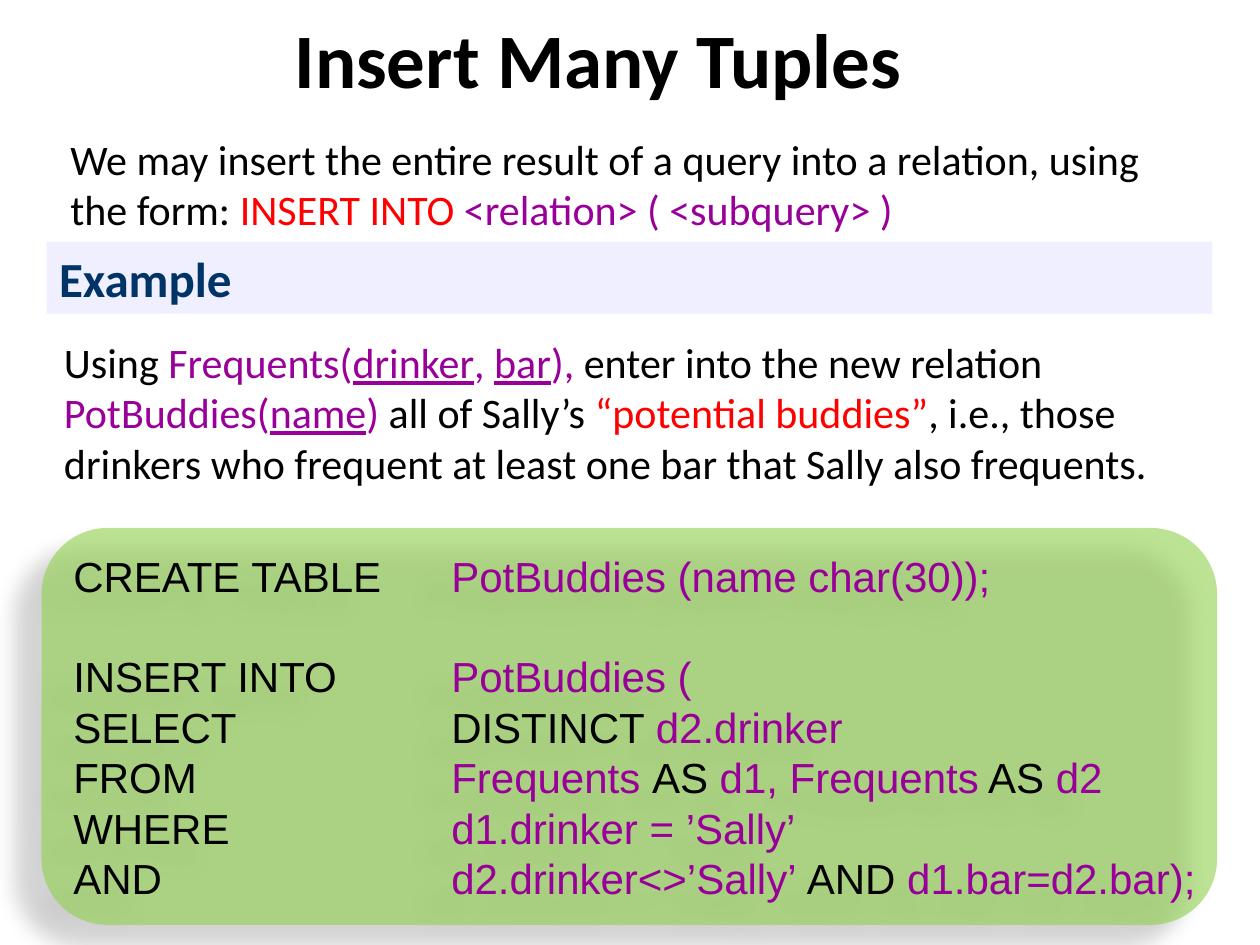
from lxml import etree
from pptx import Presentation
from pptx.dml.color import RGBColor
from pptx.enum.shapes import MSO_SHAPE
from pptx.enum.text import MSO_ANCHOR, PP_ALIGN
from pptx.oxml import parse_xml
from pptx.oxml.ns import nsdecls, qn
from pptx.util import Inches, Pt

RECTANGLE, ROUNDED = MSO_SHAPE.RECTANGLE, MSO_SHAPE.ROUNDED_RECTANGLE
TOP, MIDDLE = MSO_ANCHOR.TOP, MSO_ANCHOR.MIDDLE
LEFT, CENTER = PP_ALIGN.LEFT, PP_ALIGN.CENTER

THEME = {
    "text": "000000", "keyword": "FF0000", "name": "990099", "key": "990099",
    "heading": "003366", "band": "EFEFFF", "code_panel": "92D050",
    "body_font": "Calibri", "code_font": "Arial",
    "title_size": 44, "heading_size": 28, "body_size": 24, "code_pitch": 28.8,
}

# Content: each run is (role, words); "key" runs are underlined
TITLE = [("text", "Insert Many Tuples")]
INTRO = [
    ("text", "We may insert the entire result of a query into a relation, using the form: "),
    ("keyword", "INSERT INTO "),
    ("name", "<relation> ( <subquery> )"),
]
HEADING = [("heading", "Example")]
TASK = [
    ("text", "Using "), ("name", "Frequents("), ("key", "drinker"), ("name", ", "),
    ("key", "bar"), ("name", "),"), ("text", " enter into the new relation "),
    ("name", "PotBuddies("), ("key", "name"), ("name", ")"),
    ("text", " all of Sally’s "), ("keyword", "“potential buddies”"),
    ("text", ", i.e., those drinkers who frequent at least one bar "
             "that Sally also frequents."),
]
# SQL statements, each a list of (clause, runs)
STATEMENTS = [
    [("CREATE TABLE", [("name", "PotBuddies (name char(30));")])],
    [
        ("INSERT INTO", [("name", "PotBuddies (")]),
        ("SELECT", [("text", "DISTINCT "), ("name", "d2.drinker")]),
        ("FROM", [("name", "Frequents "), ("text", "AS "), ("name", "d1, Frequents"),
                  ("text", " AS "), ("name", "d2")]),
        ("WHERE", [("name", "d1.drinker = ’Sally’")]),
        ("AND", [("name", "d2.drinker<>’Sally’ "), ("text", "AND "),
                 ("name", "d1.bar=d2.bar);")]),
    ],
]
CODE_COLUMN = Inches(3)


def color(role):
    return RGBColor.from_string(THEME[role])


def write(paragraph, runs, font, size, bold=False, align=LEFT):
    paragraph.alignment = align
    paragraph.font.name, paragraph.font.size = font, Pt(size)
    paragraph.font.bold = bold
    for role, words in runs:
        run = paragraph.add_run()
        run.text = words
        run.font.color.rgb = color(role)
        if role == "key":
            run.font.underline = True


def add_text(slide, box, runs, size, anchor=TOP, **style):
    frame = slide.shapes.add_textbox(*map(Inches, box)).text_frame
    frame.word_wrap = True
    frame.vertical_anchor = anchor
    write(frame.paragraphs[0], runs, THEME["body_font"], size, **style)


def add_panel(slide, preset, box, fill, anchor):
    panel = slide.shapes.add_shape(preset, *map(Inches, box))
    panel.shadow.inherit = False
    panel.fill.solid()
    panel.fill.fore_color.rgb = color(fill)
    panel.line.fill.background()
    panel.text_frame.vertical_anchor = anchor
    return panel


def soften(panel):
    """Make the fill translucent and cast a soft shadow to the lower left."""
    properties = panel._element.spPr
    fill_color = properties.find(qn("a:solidFill"))[0]
    etree.SubElement(fill_color, qn("a:alpha"), val="61000")
    properties.find(qn("a:effectLst")).append(parse_xml(
        f'<a:outerShdw {nsdecls("a")} blurRad="{Pt(11.8)}" dist="{Pt(19.7)}" '
        f'dir="{141 * 60000}" algn="ctr" rotWithShape="0"><a:srgbClr val="000000">'
        '<a:alpha val="28000"/></a:srgbClr></a:outerShdw>'))


def add_code(frame):
    frame.word_wrap = False
    paragraph = frame.paragraphs[0]
    for number, statement in enumerate(STATEMENTS):
        for row, (clause, runs) in enumerate(statement):
            if number or row:
                paragraph = frame.add_paragraph()
            write(paragraph, [("text", clause + "\t"), *runs],
                  THEME["code_font"], THEME["body_size"])
            paragraph.line_spacing = Pt(THEME["code_pitch"])
            # One line of space between statements
            if number and row == 0:
                paragraph.space_before = Pt(THEME["code_pitch"])
            tabs = parse_xml(f'<a:tabLst {nsdecls("a")}>'
                             f'<a:tab pos="{CODE_COLUMN}" algn="l"/></a:tabLst>')
            paragraph._p.pPr.find(qn("a:defRPr")).addprevious(tabs)


def main():
    deck = Presentation()
    deck.slide_width, deck.slide_height = Inches(10), Inches(7.5)
    slide = deck.slides.add_slide(deck.slide_layouts[6])

    # Title and introduction
    add_text(slide, (0.25, 0.08, 9, 0.75), TITLE, THEME["title_size"],
             anchor=MIDDLE, bold=True, align=CENTER)
    add_text(slide, (0.46, 1.01, 9.17, 0.91), INTRO, THEME["body_size"])

    # Example heading and task
    band = add_panel(slide, RECTANGLE, (0.37, 1.92, 9.25, 0.57), "band", TOP)
    write(band.text_frame.paragraphs[0], HEADING, THEME["body_font"],
          THEME["heading_size"], bold=True)
    add_text(slide, (0.41, 2.62, 9.34, 1.31), TASK, THEME["body_size"])

    # SQL code
    code = add_panel(slide, ROUNDED, (0.33, 4.19, 9.33, 3.15), "code_panel", MIDDLE)
    soften(code)
    add_code(code.text_frame)

    deck.save("out.pptx")


if __name__ == "__main__":
    main()
